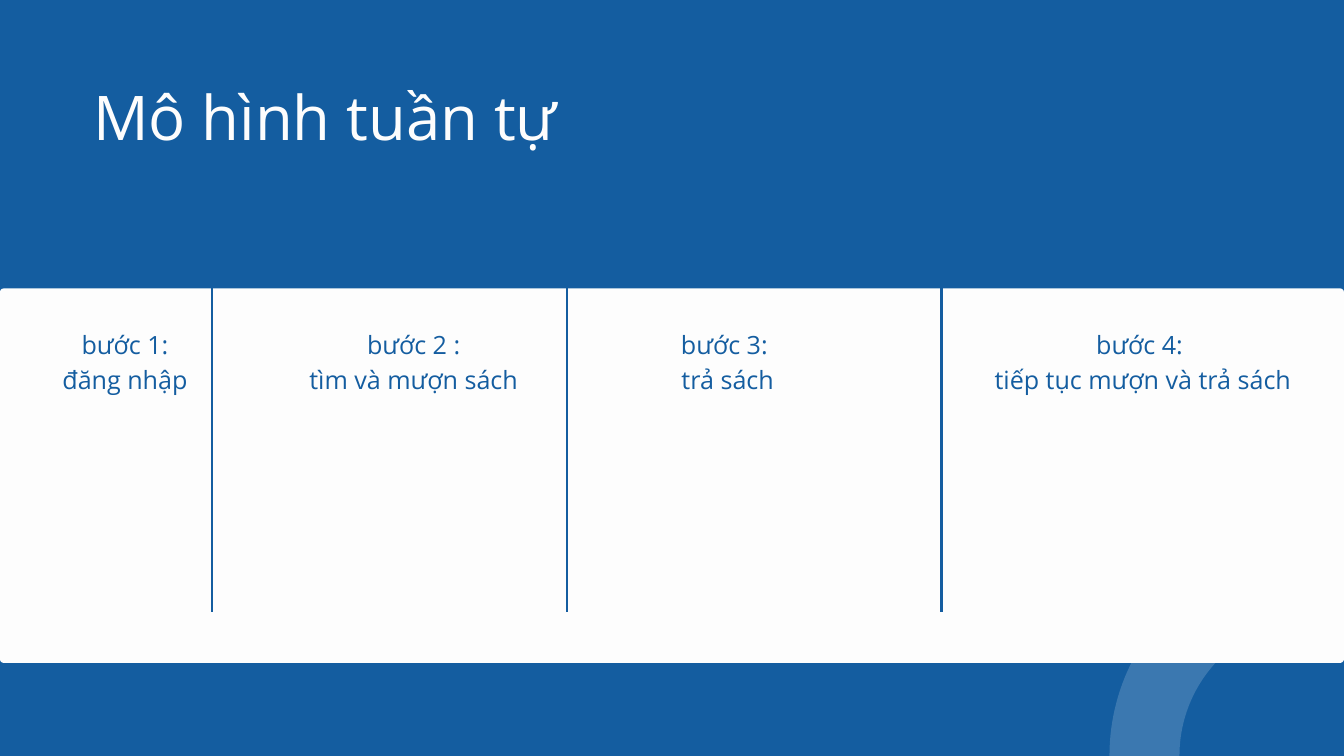
import pptx
import pptx.dml.color
import pptx.enum.shapes
import pptx.enum.text
import pptx.oxml.ns
import pptx.util
from lxml import etree

PX = 9525  # EMU in one px; the page is 1920 x 1080 px
PAGE_WIDTH, PAGE_HEIGHT = 1920, 1080

THEME = {
    "blue": pptx.dml.color.RGBColor.from_string("145DA0"),
    "paper": pptx.dml.color.RGBColor.from_string("FDFDFD"),
    "white": pptx.dml.color.RGBColor.from_string("FFFFFF"),
    "font": "Open Sans",
    "title": {"size": 66, "leading": 92.5},
    "step": {"size": 26.9, "leading": 37.6},
}

PANEL_TOP, PANEL_HEIGHT = 412, 535
DIVIDER_BOTTOM = 875
DIVIDERS = (303, 810, 1345)
STEP_TOP, STEP_HEIGHT = 463, 99
STEPS = (  # left, width, lines
    (55, 247, ("bước 1:", "đăng nhập")),
    (419, 344, ("bước 2 :", "tìm và mượn sách")),
    (853, 373, ("bước 3: ", "trả sách")),
    (1360, 536, ("bước 4:", " tiếp tục mượn và trả sách")),
)


def px(*lengths):
    return [pptx.util.Emu(length * PX) for length in lengths]


def set_values(target, values):
    for name, value in values.items():
        setattr(target, name, value)


def write_lines(frame, lines, style, color, align):
    set_values(frame, {
        "margin_left": 0, "margin_top": 0, "margin_right": 0, "margin_bottom": 0,
        "word_wrap": True,
        "auto_size": pptx.enum.text.MSO_AUTO_SIZE.NONE,
        "vertical_anchor": pptx.enum.text.MSO_ANCHOR.TOP,
    })
    for index, line in enumerate(lines):
        para = frame.paragraphs[0] if index == 0 else frame.add_paragraph()
        set_values(para, {
            "alignment": align,
            "line_spacing": pptx.util.Pt(style["leading"]),
            "space_before": pptx.util.Pt(0),
        })
        span = para.add_run()
        span.text = line
        set_values(span.font, {"name": THEME["font"], "size": pptx.util.Pt(style["size"])})
        span.font.color.rgb = color


def add_title(page, text):
    title = page.shapes.title
    left, top, width, height = px(133, 95, 1017, 118)
    set_values(title, {"left": left, "top": top, "width": width, "height": height})
    write_lines(title.text_frame, [text], THEME["title"], THEME["paper"],
                pptx.enum.text.PP_ALIGN.LEFT)


def add_panel(page):
    panel = page.shapes.add_shape(pptx.enum.shapes.MSO_SHAPE.ROUNDED_RECTANGLE,
                                  *px(0, PANEL_TOP, PAGE_WIDTH, PANEL_HEIGHT))
    panel.adjustments[0] = 0.01
    panel.shadow.inherit = False
    panel.fill.solid()
    panel.fill.fore_color.rgb = THEME["paper"]
    panel.line.fill.background()


def add_ring(page):
    """Draw the translucent ring that bleeds off the lower right corner."""
    ring = page.shapes.add_shape(pptx.enum.shapes.MSO_SHAPE.OVAL, *px(1635, 833, 493, 493))
    ring.shadow.inherit = False
    ring.fill.background()
    ring.line.width = pptx.util.Pt(75)
    ring.line.color.rgb = THEME["white"]
    color = ring.line._ln.find(".//" + pptx.oxml.ns.qn("a:srgbClr"))
    etree.SubElement(color, pptx.oxml.ns.qn("a:alpha"), val="16000")


def add_divider(page, x):
    divider = page.shapes.add_connector(pptx.enum.shapes.MSO_CONNECTOR.STRAIGHT,
                                        *px(x, PANEL_TOP, x, DIVIDER_BOTTOM))
    divider.line.width = pptx.util.Pt(3)
    divider.line.color.rgb = THEME["blue"]
    etree.SubElement(divider._element.spPr, pptx.oxml.ns.qn("a:effectLst"))


def add_step(page, left, width, lines):
    box = page.shapes.add_textbox(*px(left, STEP_TOP, width, STEP_HEIGHT))
    write_lines(box.text_frame, lines, THEME["step"], THEME["blue"],
                pptx.enum.text.PP_ALIGN.CENTER)


def main():
    deck = pptx.Presentation()
    deck.slide_width, deck.slide_height = px(PAGE_WIDTH, PAGE_HEIGHT)
    page = deck.slides.add_slide(deck.slide_layouts.get_by_name("Title Only"))
    page.background.fill.solid()
    page.background.fill.fore_color.rgb = THEME["blue"]

    add_title(page, "Mô hình tuần tự")
    add_panel(page)
    add_ring(page)
    for x in DIVIDERS:
        add_divider(page, x)
    for left, width, lines in STEPS:
        add_step(page, left, width, lines)
    deck.save("out.pptx")


if __name__ == "__main__":
    main()
